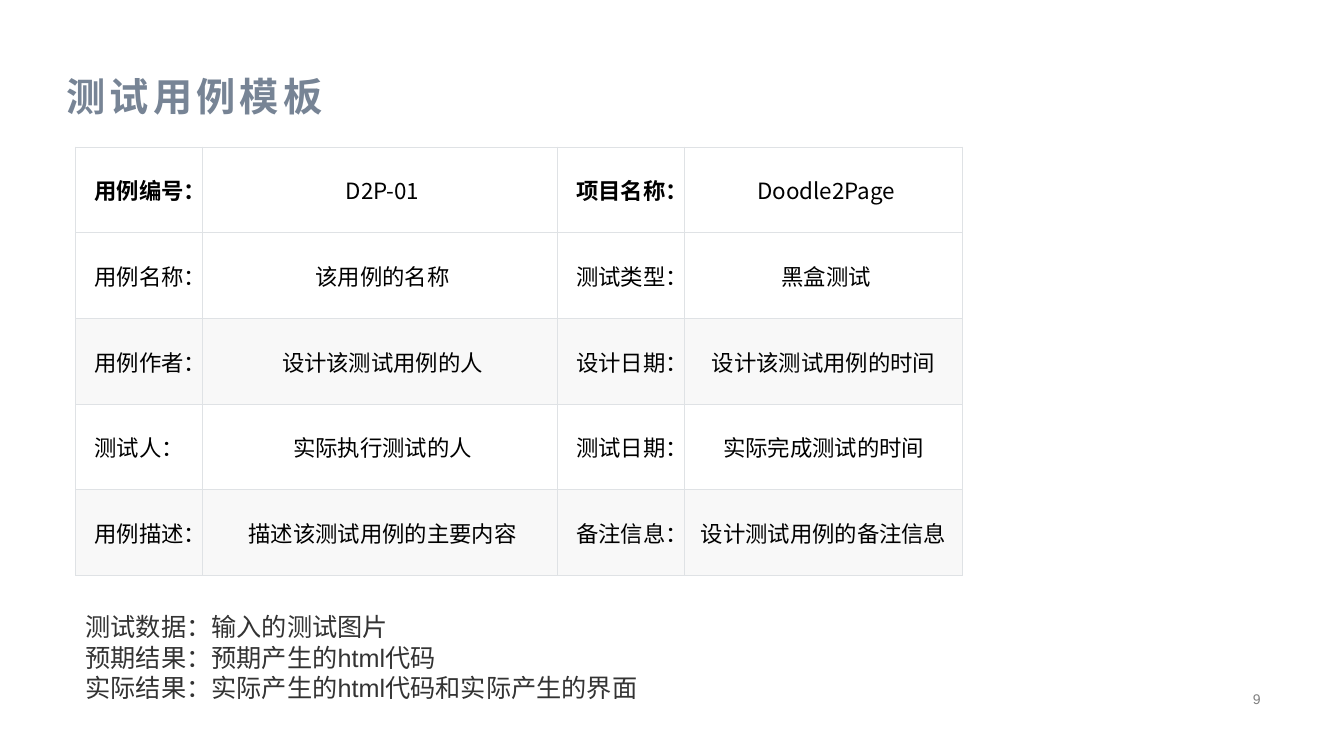
from lxml import etree
from pptx import Presentation
from pptx.dml.color import RGBColor
from pptx.enum import text
from pptx.oxml import ns
from pptx.util import Inches, Pt

# Content
TITLE = "测试用例模板"
ROWS = [
    ("用例编号：", " D2P-01", "项目名称：", " Doodle2Page"),
    ("用例名称：", " 该用例的名称", "测试类型：", " 黑盒测试"),
    ("用例作者：", " 设计该测试用例的人", "设计日期：", "设计该测试用例的时间"),
    ("测试人：", " 实际执行测试的人", "测试日期：", "实际完成测试的时间"),
    ("用例描述：", " 描述该测试用例的主要内容", "备注信息：", "设计测试用例的备注信息"),
]
NOTES = [
    "测试数据：输入的测试图片",
    "预期结果：预期产生的html代码",
    "实际结果：实际产生的html代码和实际产生的界面",
]
PAGE = "9"


class Theme:
    latin, cjk = "Arial", "Noto Sans CJK SC"
    title, cell, note, page = 28, 16, 18, 10
    slate, black, dark, gray = "778495", "000000", "333333", "808080"
    line, band = "DFE2E5", "F8F8F8"


LEFT, WIDTH = 0.75, 8.8
COLS = (1.26, 3.52, 1.26, 2.76)
TOP, HIGH = 1.46, 0.85


def style(para, face, size, color, bold=False, space=0):
    font = para.font
    font.name, font.size, font.bold = face, Pt(size), bold
    font.color.rgb = RGBColor.from_string(color)
    props = para._p.pPr.find(ns.qn("a:defRPr"))
    props.set("lang", "zh-CN")
    if space:
        props.set("spc", str(space * 100))
    etree.SubElement(props, ns.qn("a:ea"), typeface=Theme.cjk)


def label(slide, box, lines, size, color, anchor, **look):
    frame = slide.shapes.add_textbox(*map(Inches, box)).text_frame
    frame.word_wrap = True
    frame.vertical_anchor = anchor
    frame.text = "\n".join(lines)
    for para in frame.paragraphs:
        style(para, Theme.latin, size, color, **look)
    return frame


def border(cell):
    props = cell._tc.get_or_add_tcPr()
    for i, side in enumerate(("lnL", "lnR", "lnT", "lnB")):
        line = etree.Element(ns.qn("a:" + side), w=str(Pt(1)))
        fill = etree.SubElement(line, ns.qn("a:solidFill"))
        etree.SubElement(fill, ns.qn("a:srgbClr"), val=Theme.line)
        props.insert(i, line)


def fill_cell(cell, words, bold, band):
    cell.text = words
    cell.vertical_anchor = text.MSO_ANCHOR.MIDDLE
    cell.margin_left = cell.margin_right = Inches(0.14)
    cell.margin_top = cell.margin_bottom = Inches(0.06)
    para = cell.text_frame.paragraphs[0]
    para.alignment = text.PP_ALIGN.CENTER
    style(para, Theme.cjk, Theme.cell, Theme.black, bold)
    para._p.pPr.set("hangingPunct", "1")
    if band:
        cell.fill.solid()
        cell.fill.fore_color.rgb = RGBColor.from_string(Theme.band)
    else:
        cell.fill.background()
    border(cell)


def add_grid(slide):
    box = (LEFT, TOP, WIDTH, HIGH * len(ROWS))
    grid = slide.shapes.add_table(len(ROWS), len(COLS), *map(Inches, box)).table
    grid.first_row = grid.horz_banding = False
    for col, wide in zip(grid.columns, COLS):
        col.width = Inches(wide)
    for r, row in enumerate(ROWS):
        grid.rows[r].height = Inches(HIGH)
        for c, words in enumerate(row):
            # Top labels are bold; every second row after them is shaded
            fill_cell(grid.cell(r, c), words, r == 0 and c % 2 == 0,
                      r > 0 and r % 2 == 0)


def main():
    deck = Presentation()
    deck.slide_width, deck.slide_height = Inches(13.33), Inches(7.5)
    slide = deck.slides.add_slide(deck.slide_layouts[6])

    # Title
    head = label(slide, (0.56, 0.12, 11.87, 1.12), [TITLE], Theme.title,
                 Theme.slate, text.MSO_ANCHOR.BOTTOM, bold=True, space=3)
    head.paragraphs[0].line_spacing = 0.9

    # Page number
    page = label(slide, (9.42, 6.82, 3.18, 0.23), [PAGE], Theme.page,
                 Theme.gray, text.MSO_ANCHOR.MIDDLE)
    page.paragraphs[0].alignment = text.PP_ALIGN.RIGHT

    # Test case table and notes
    add_grid(slide)
    label(slide, (LEFT, 6.02, WIDTH, 1.01), NOTES, Theme.note, Theme.dark,
          text.MSO_ANCHOR.TOP)
    deck.save("out.pptx")


if __name__ == "__main__":
    main()
